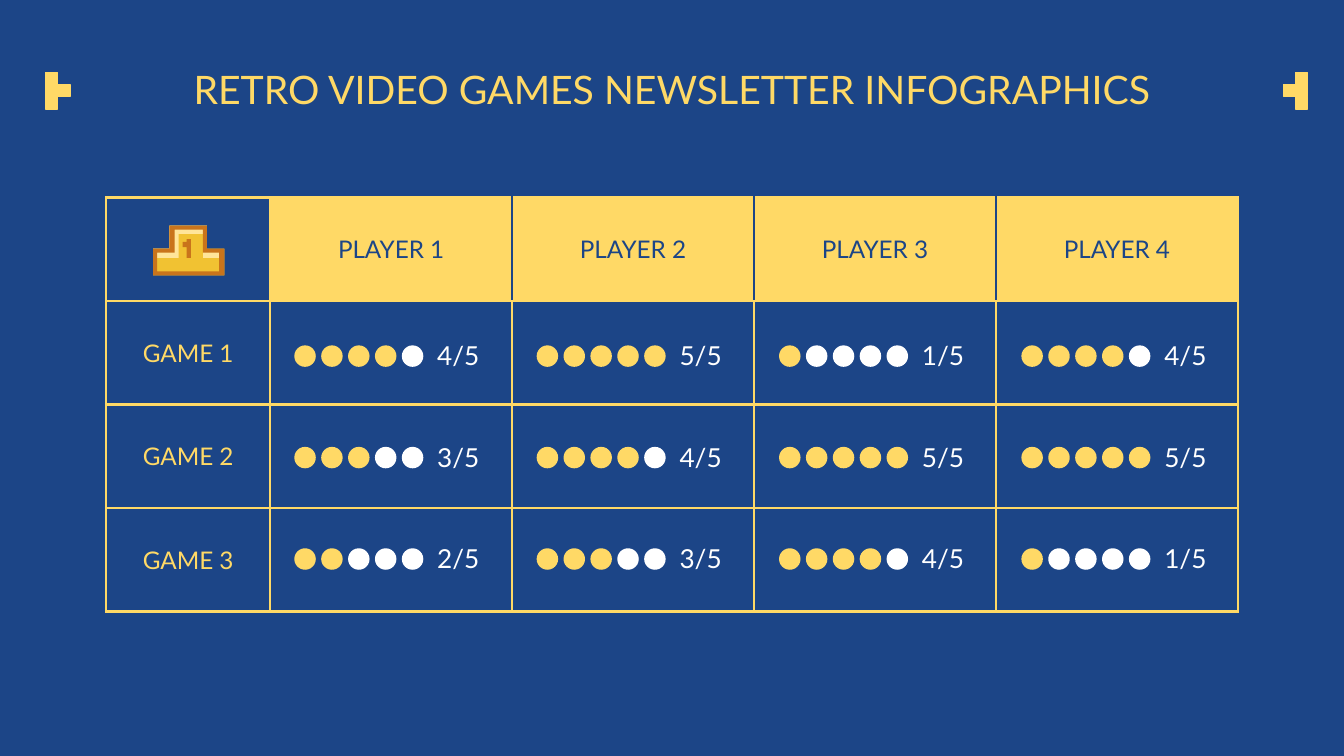
from lxml.etree import SubElement
from pptx import Presentation
from pptx.dml.color import RGBColor
from pptx.enum.shapes import MSO_SHAPE
from pptx.enum.text import MSO_ANCHOR, MSO_AUTO_SIZE, PP_ALIGN
from pptx.oxml.ns import qn
from pptx.util import Inches, Pt

BLUE = RGBColor(0x1C, 0x45, 0x87)
YELLOW = RGBColor(0xFF, 0xD9, 0x66)
WHITE = RGBColor(0xFF, 0xFF, 0xFF)
GOLD = RGBColor(0xF1, 0xC2, 0x32)
CREAM = RGBColor(0xFF, 0xE5, 0x99)
BRONZE = RGBColor(0xC9, 0x74, 0x1B)

SLIDE_WIDTH = 10
SLIDE_HEIGHT = SLIDE_WIDTH * 9 / 16
PLAYERS = ["PLAYER 1", "PLAYER 2", "PLAYER 3", "PLAYER 4"]
SCORES = {
    "GAME 1": [4, 5, 1, 4],
    "GAME 2": [3, 4, 5, 5],
    "GAME 3": [2, 3, 4, 1],
}
MAX_SCORE = 5
LABEL_WIDTH, PLAYER_WIDTH, ROW_HEIGHT = 1.22, 1.8, 0.77
# Ratings are spread evenly between the first and last positions
RATING_LEFT, RATING_LAST_LEFT = 2.19, 7.6
RATING_TOP, RATING_LAST_TOP = 2.57, 4.08
RATING_STEP_X = (RATING_LAST_LEFT - RATING_LEFT) / (len(PLAYERS) - 1)
RATING_STEP_Y = (RATING_LAST_TOP - RATING_TOP) / (len(SCORES) - 1)
DOT_SIZE, DOT_STEP = 0.16, 0.2
PIXEL = 0.09

# Podium outlines: (colour, contours)
PODIUM_OUTER = [(1.26, 1.68), (1.26, 1.85), (1.14, 1.85), (1.14, 2.05),
                (1.67, 2.05), (1.67, 1.85), (1.54, 1.85), (1.54, 1.68)]
PODIUM_INNER = [(1.51, 1.71), (1.51, 1.88), (1.63, 1.88), (1.63, 2.02),
                (1.17, 2.02), (1.17, 1.88), (1.3, 1.88), (1.3, 1.71)]
PODIUM = [
    (GOLD, [PODIUM_OUTER]),
    (CREAM, [[(1.26, 1.68), (1.26, 1.85), (1.14, 1.85), (1.14, 1.92), (1.33, 1.92),
              (1.33, 1.74), (1.54, 1.74), (1.54, 1.68)]]),
    (CREAM, [[(1.51, 1.85), (1.51, 1.92), (1.67, 1.92), (1.67, 1.85)]]),
    (BRONZE, [[(1.39, 1.78), (1.39, 1.8), (1.36, 1.8), (1.36, 1.84), (1.39, 1.84),
               (1.39, 1.92), (1.42, 1.92), (1.42, 1.78)]]),
    (BRONZE, [PODIUM_INNER, PODIUM_OUTER]),
]


def write_text(text_frame, text, size, color):
    text_frame.text = text
    paragraph = text_frame.paragraphs[0]
    paragraph.alignment = PP_ALIGN.CENTER
    paragraph.font.name = "Lato"
    paragraph.font.size = Pt(size)
    paragraph.font.color.rgb = color


def set_margins(target):
    target.margin_left = target.margin_right = Inches(0.1)
    target.margin_top = target.margin_bottom = Inches(0.1)


def paint(shape, color, line=None):
    shape.shadow.inherit = False
    shape.fill.solid()
    shape.fill.fore_color.rgb = color
    if line is None:
        shape.line.fill.background()
    else:
        shape.line.color.rgb = color
        shape.line.width = Pt(line)


def add_title(slide, text):
    title = slide.shapes.title
    title.left, title.top = Inches(0.34), Inches(0.31)
    title.width, title.height = Inches(9.32), Inches(0.63)
    frame = title.text_frame
    write_text(frame, text, 21, YELLOW)
    set_margins(frame)
    frame.vertical_anchor = MSO_ANCHOR.BOTTOM
    frame.auto_size = MSO_AUTO_SIZE.NONE
    frame.word_wrap = True


def add_pixel_marker(slide, bar_left, tip_left):
    group = slide.shapes.add_group_shape()
    top = 0.54
    pixels = [(bar_left, top + row * PIXEL) for row in range(3)]
    pixels.append((tip_left, top + PIXEL))
    for x, y in pixels:
        pixel = group.shapes.add_shape(
            MSO_SHAPE.RECTANGLE, Inches(x), Inches(y), Inches(PIXEL), Inches(PIXEL))
        paint(pixel, YELLOW, 0.75)


def set_borders(cell, left=YELLOW, right=YELLOW):
    properties = cell._tc.get_or_add_tcPr()
    sides = {"lnL": left, "lnR": right, "lnT": YELLOW, "lnB": YELLOW}
    for side, color in sides.items():
        line = SubElement(properties, qn(f"a:{side}"), w=str(Pt(1.5)))
        fill = SubElement(line, qn("a:solidFill"))
        SubElement(fill, qn("a:srgbClr"), val=str(color))


def add_score_table(slide):
    rows, columns = len(SCORES) + 1, len(PLAYERS) + 1
    table = slide.shapes.add_table(
        rows, columns, Inches(0.79), Inches(1.47),
        Inches(LABEL_WIDTH + PLAYER_WIDTH * len(PLAYERS)),
        Inches(ROW_HEIGHT * rows)).table
    table.first_row = table.horz_banding = False
    for index, column in enumerate(table.columns):
        column.width = Inches(PLAYER_WIDTH if index else LABEL_WIDTH)
    for row in table.rows:
        row.height = Inches(ROW_HEIGHT)

    for row in range(rows):
        for column in range(columns):
            cell = table.cell(row, column)
            set_margins(cell)
            cell.vertical_anchor = MSO_ANCHOR.MIDDLE
            if row == 0 and column > 0:
                set_borders(cell,
                            left=YELLOW if column == 1 else BLUE,
                            right=YELLOW if column == columns - 1 else BLUE)
                cell.fill.solid()
                cell.fill.fore_color.rgb = YELLOW
            else:
                set_borders(cell)
                cell.fill.background()

    for column, player in enumerate(PLAYERS, 1):
        write_text(table.cell(0, column).text_frame, player, 13, BLUE)
    for row, game in enumerate(SCORES, 1):
        write_text(table.cell(row, 0).text_frame, game, 13, YELLOW)


def add_rating(slide, left, top, score):
    group = slide.shapes.add_group_shape()
    for index in range(MAX_SCORE):
        dot = group.shapes.add_shape(
            MSO_SHAPE.OVAL, Inches(left + index * DOT_STEP), Inches(top),
            Inches(DOT_SIZE), Inches(DOT_SIZE))
        paint(dot, YELLOW if index < score else WHITE)
    label = group.shapes.add_textbox(
        Inches(left + 0.96), Inches(top - 0.13), Inches(0.52), Inches(0.41))
    frame = label.text_frame
    write_text(frame, f"{score}/{MAX_SCORE}", 14, WHITE)
    set_margins(frame)
    frame.vertical_anchor = MSO_ANCHOR.MIDDLE
    frame.word_wrap = True


def add_podium(slide):
    group = slide.shapes.add_group_shape()
    for color, contours in PODIUM:
        builder = None
        for contour in contours:
            points = [(Inches(x), Inches(y)) for x, y in contour]
            if builder is None:
                builder = group.shapes.build_freeform(*points[0])
            else:
                builder.move_to(*points[0])
            builder.add_line_segments(points[1:], close=True)
        paint(builder.convert_to_shape(), color)


def main():
    presentation = Presentation()
    presentation.slide_width = Inches(SLIDE_WIDTH)
    presentation.slide_height = Inches(SLIDE_HEIGHT)
    slide = presentation.slides.add_slide(presentation.slide_layouts[5])
    slide.background.fill.solid()
    slide.background.fill.fore_color.rgb = BLUE

    # Heading with a pixel marker on each side
    add_title(slide, "RETRO VIDEO GAMES NEWSLETTER INFOGRAPHICS")
    add_pixel_marker(slide, 0.34, 0.34 + PIXEL)
    add_pixel_marker(slide, 9.64, 9.64 - PIXEL)

    # Score grid and its ratings
    add_score_table(slide)
    for row, scores in enumerate(SCORES.values()):
        for column, score in enumerate(scores):
            add_rating(slide, RATING_LEFT + column * RATING_STEP_X,
                       RATING_TOP + row * RATING_STEP_Y, score)

    # Podium in the corner cell
    add_podium(slide)
    presentation.save("out.pptx")


if __name__ == "__main__":
    main()
